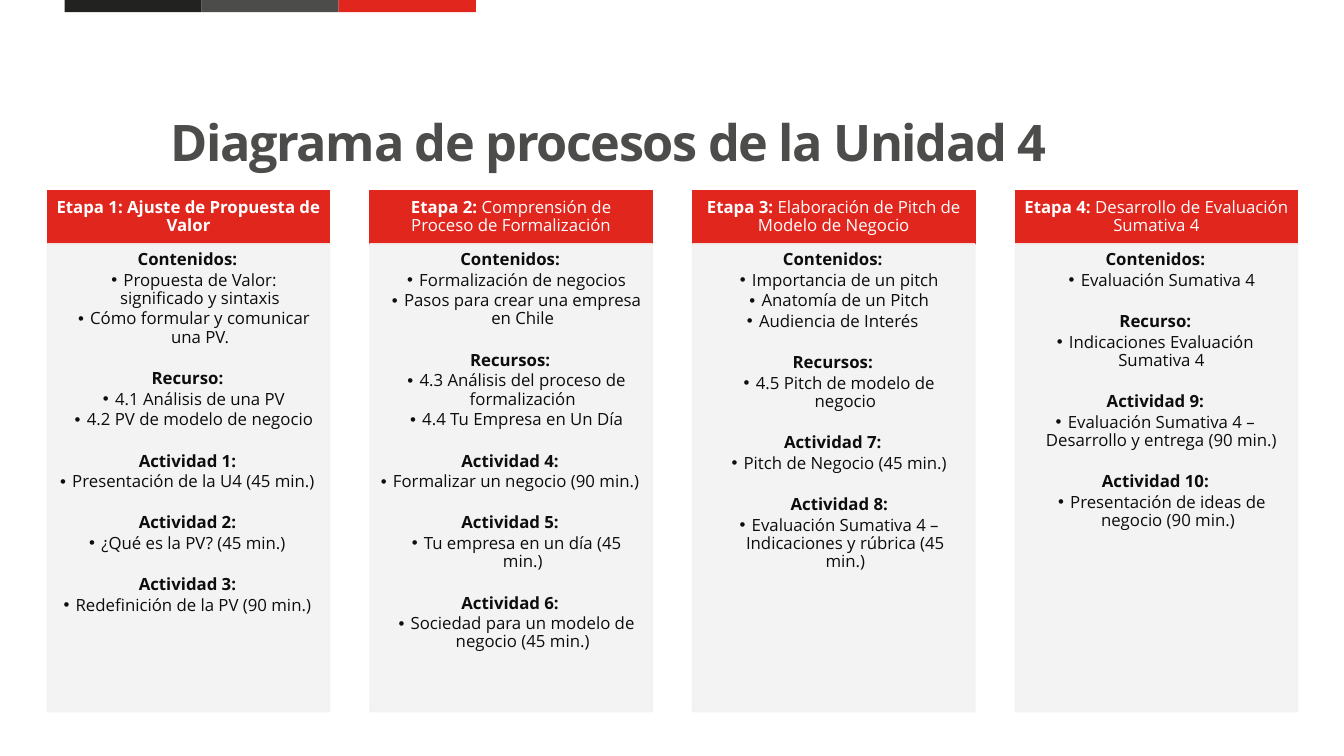
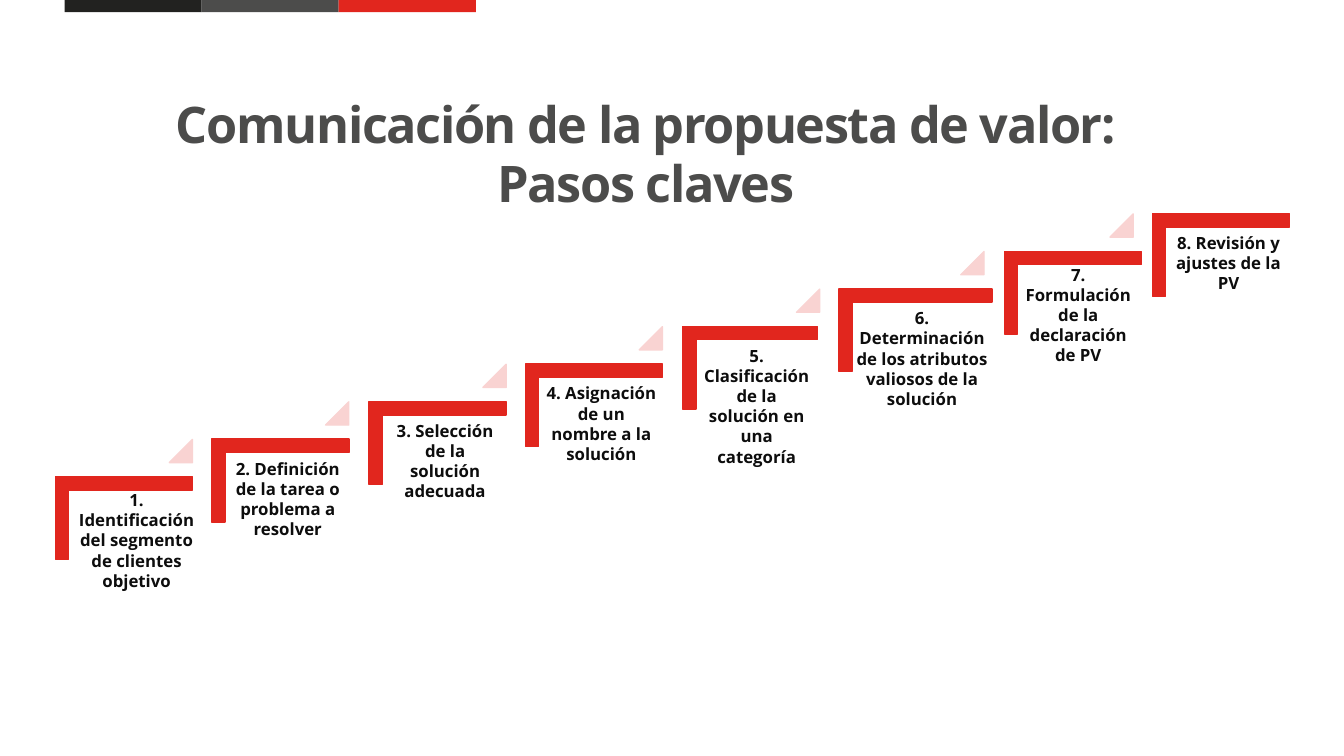
from dataclasses import dataclass

import lxml.etree
import pptx
import pptx.dml.color
import pptx.enum.shapes
import pptx.enum.text
import pptx.oxml.ns
import pptx.util

Inches = pptx.util.Inches
Pt = pptx.util.Pt
RGBColor = pptx.dml.color.RGBColor
SHAPE = pptx.enum.shapes.MSO_SHAPE
ALIGN = pptx.enum.text.PP_ALIGN
ANCHOR = pptx.enum.text.MSO_ANCHOR
qn = pptx.oxml.ns.qn

# Shared style
FONT = "Open Sans"
BLACK = RGBColor(0x22, 0x22, 0x20)
GRAY = RGBColor(0x4C, 0x4C, 0x4B)
RED = RGBColor(0xE1, 0x26, 0x1E)
PINK = RGBColor(0xF9, 0xD3, 0xD2)
PALE = RGBColor(0xF2, 0xF2, 0xF2)
INK = RGBColor(0x0D, 0x0D, 0x0D)
WHITE = RGBColor(0xFF, 0xFF, 0xFF)


@dataclass(frozen=True)
class Box:
    left: float
    top: float
    width: float
    height: float

    def place(self) -> tuple:
        return tuple(Inches(v) for v in (self.left, self.top, self.width, self.height))


@dataclass(frozen=True)
class Block:
    """A heading, its deeper bullets and then its nearer ones."""
    head: str
    deep: tuple[str, ...] = ()
    near: tuple[str, ...] = ()
    lead: float = 0.12


@dataclass(frozen=True)
class Stage:
    label: str
    name: str
    blocks: tuple[Block, ...]
    bold: bool = False


@dataclass(frozen=True)
class Step:
    text: str
    left: float
    width: float = 1.36
    shift: float = 0.14  # label offset from the step's left edge
    drop: float = 0.14  # label offset from the step's top edge
    span: float = 1.23  # label width
    mark: float = 1.13  # triangle offset from the step's left edge


STAGES = (
    Stage("Etapa 1: ", "Ajuste de Propuesta de Valor", (
        Block("Contenidos:", ("Propuesta de Valor: significado y sintaxis",
                              "Cómo formular y comunicar una PV.")),
        Block("Recurso:", ("4.1 Análisis de una PV", "4.2 PV de modelo de negocio")),
        Block("Actividad 1:", near=("Presentación de la U4 (45 min.)",)),
        Block("Actividad 2:", near=("¿Qué es la PV? (45 min.)",)),
        Block("Actividad 3:", near=("Redefinición de la PV (90 min.)",)),
    ), bold=True),
    Stage("Etapa 2: ", "Comprensión de Proceso de Formalización", (
        Block("Contenidos:", ("Formalización de negocios",
                              "Pasos para crear una empresa en Chile")),
        Block("Recursos:", ("4.3 Análisis del proceso de formalización",
                            "4.4 Tu Empresa en Un Día")),
        Block("Actividad 4:", near=("Formalizar un negocio (90 min.)",)),
        Block("Actividad 5:", ("Tu empresa en un día (45 min.)",)),
        Block("Actividad 6:", ("Sociedad para un modelo de negocio (45 min.)",)),
    )),
    Stage("Etapa 3: ", "Elaboración de Pitch de Modelo de Negocio", (
        Block("Contenidos:", ("Importancia de un pitch", "Anatomía de un Pitch"),
              ("Audiencia de Interés",)),
        Block("Recursos:", ("4.5 Pitch de modelo de negocio",)),
        Block("Actividad 7:", ("Pitch de Negocio (45 min.)",)),
        Block("Actividad 8:",
              ("Evaluación Sumativa 4 – Indicaciones y rúbrica (45 min.)",), lead=0.25),
    )),
    Stage("Etapa 4: ", "Desarrollo de Evaluación Sumativa 4", (
        Block("Contenidos:", ("Evaluación Sumativa 4",)),
        Block("Recurso:", near=("Indicaciones Evaluación Sumativa 4",)),
        Block("Actividad 9:",
              near=("Evaluación Sumativa 4 – Desarrollo y entrega (90 min.)",)),
        Block("Actividad 10:", ("Presentación de ideas de negocio (90 min.)",)),
    )),
)

STEPS = (
    Step("1. Identificación del segmento de clientes objetivo", 0.55, drop=0.08, span=1.33),
    Step("2. Definición de la tarea o problema a resolver", 2.1),
    Step("3. Selección de la solución adecuada", 3.66),
    Step("4. Asignación de un nombre a la solución", 5.21),
    Step("5. Clasificación de la solución en una categoría", 6.77, width=1.34, shift=0.12),
    Step("6. Determinación de los atributos valiosos de la solución", 8.32,
         width=1.52, shift=0.07, span=1.51, mark=1.21),
    Step("7. Formulación de la declaración de PV", 9.96, shift=0.12, drop=0.08, mark=1.05),
    Step("8. Revisión y ajustes de la PV", 11.43),
)


def draw(slide, kind, box: Box, color: RGBColor, edge: bool = True):
    """Add a flat shape of one colour."""
    shape = slide.shapes.add_shape(kind, *box.place())
    shape.shadow.inherit = False
    shape.fill.solid()
    shape.fill.fore_color.rgb = color
    if edge:
        shape.line.color.rgb = color
        shape.line.width = Pt(1)
    else:
        shape.line.fill.background()
    return shape


def fade(shape, share: int) -> None:
    """Set the opacity of fill and line, in percent."""
    for tone in shape.element.spPr.iter(qn("a:srgbClr")):
        lxml.etree.SubElement(tone, qn("a:alpha"), val=str(share * 1000))


def setup(frame, left: float, top: float, right: float, low: float,
          anchor=ANCHOR.TOP) -> None:
    frame.word_wrap = True
    frame.auto_size = pptx.enum.text.MSO_AUTO_SIZE.NONE
    frame.vertical_anchor = anchor
    frame.margin_left, frame.margin_top = Inches(left), Inches(top)
    frame.margin_right, frame.margin_bottom = Inches(right), Inches(low)


def write(para, text: str, color: RGBColor, bold: bool = True, size: float = 12):
    run = para.add_run()
    run.text = text
    font = run.font
    font.name, font.size, font.bold = FONT, Pt(size), bold
    font.color.rgb = color
    return run


def grow(frame, first: bool):
    """Give the first paragraph, or a new one."""
    return frame.paragraphs[0] if first else frame.add_paragraph()


def add_line(frame, text: str, lead: float, first: bool = False, head: bool = False) -> None:
    """Add a heading or a bullet to a stage panel."""
    para = grow(frame, first)
    props = para._p.get_or_add_pPr()
    props.set("marL", str(Inches(lead)))
    props.set("indent", str(Inches(-0.12)))
    if not head:
        lxml.etree.SubElement(props, qn("a:buFont"), typeface="Arial")
        lxml.etree.SubElement(props, qn("a:buChar"), char="•")
    para.alignment = ALIGN.CENTER
    para.line_spacing = 0.9
    para.space_after = Pt(1.8)
    if head and not first:
        para.space_before = Pt(14.7)
    write(para, text, INK, bold=head)


def start(deck, box: Box, lines: tuple[str, ...], align):
    """Add a slide with the shared bands and title style."""
    slide = deck.slides.add_slide(deck.slide_layouts[5])
    for i, color in enumerate((BLACK, GRAY, RED)):
        draw(slide, SHAPE.RECTANGLE, Box(0.64 + 1.36 * i, 0, 1.36, 0.12), color, edge=False)
    title = slide.shapes.title
    title.left, title.top, title.width, title.height = box.place()
    setup(title.text_frame, 0.06, 0.06, 0.06, 0.05)
    for i, text in enumerate(lines):
        para = grow(title.text_frame, i == 0)
        para.alignment = align
        para.line_spacing = Pt(42)
        para.space_before = Pt(0)
        run = write(para, text, GRAY, size=36)
        run.font._element.set("spc", "-100")
    return slide


def add_stage(slide, stage: Stage, left: float) -> None:
    # Red header
    top = draw(slide, SHAPE.RECTANGLE, Box(left, 1.89, 2.8, 0.53), RED)
    setup(top.text_frame, 0.09, 0.05, 0.09, 0.05, ANCHOR.MIDDLE)
    para = top.text_frame.paragraphs[0]
    para.alignment = ALIGN.CENTER
    para.line_spacing = 0.9
    write(para, stage.label, WHITE)
    write(para, stage.name, WHITE, bold=stage.bold)
    # Pale panel
    panel = draw(slide, SHAPE.RECTANGLE, Box(left, 2.42, 2.8, 4.64), PALE)
    fade(panel, 90)
    frame = panel.text_frame
    setup(frame, 0.07, 0.07, 0.09, 0.1)
    for i, block in enumerate(stage.blocks):
        add_line(frame, block.head, block.lead, first=i == 0, head=True)
        for text in block.deep:
            add_line(frame, text, 0.25)
        for text in block.near:
            add_line(frame, text, 0.12)


def add_step(slide, step: Step, top: float, last: bool) -> None:
    # Corner bar, turned about its centre
    high = 0.82
    turn = (step.width - high) / 2
    bar = draw(slide, SHAPE.CORNER,
               Box(step.left + turn, top - turn, high, step.width), RED)
    bar.rotation = 90
    bar.adjustments[0] = bar.adjustments[1] = 0.16
    # Label
    box = Box(step.left + step.shift, top + step.drop, step.span, 1.08)
    label = slide.shapes.add_textbox(*box.place())
    setup(label.text_frame, 0.05, 0.05, 0.05, 0.05)
    para = label.text_frame.paragraphs[0]
    para.alignment = ALIGN.CENTER
    write(para, step.text, INK)
    # Triangle towards the next step
    if not last:
        mark = draw(slide, SHAPE.ISOSCELES_TRIANGLE,
                    Box(step.left + step.mark, top - 0.37, 0.23, 0.23), PINK)
        mark.adjustments[0] = 1


def main() -> None:
    deck = pptx.Presentation()
    deck.slide_width, deck.slide_height = Inches(13.33), Inches(7.5)

    # Stages of the unit
    slide = start(deck, Box(1.63, 1.06, 10.08, 0.69),
                  ("Diagrama de procesos de la Unidad 4",), ALIGN.LEFT)
    for i, stage in enumerate(STAGES):
        add_stage(slide, stage, 0.47 + 3.2 * i)

    # Staircase of key steps
    slide = start(deck, Box(0.78, 0.88, 11.37, 1.28),
                  ("Comunicación de la propuesta de valor: ", "Pasos claves "), ALIGN.CENTER)
    low, peak = 4.73, 2.12
    rise = (low - peak) / (len(STEPS) - 1)
    for i, step in enumerate(STEPS):
        add_step(slide, step, low - rise * i, last=step is STEPS[-1])

    deck.save("out.pptx")


if __name__ == "__main__":
    main()
